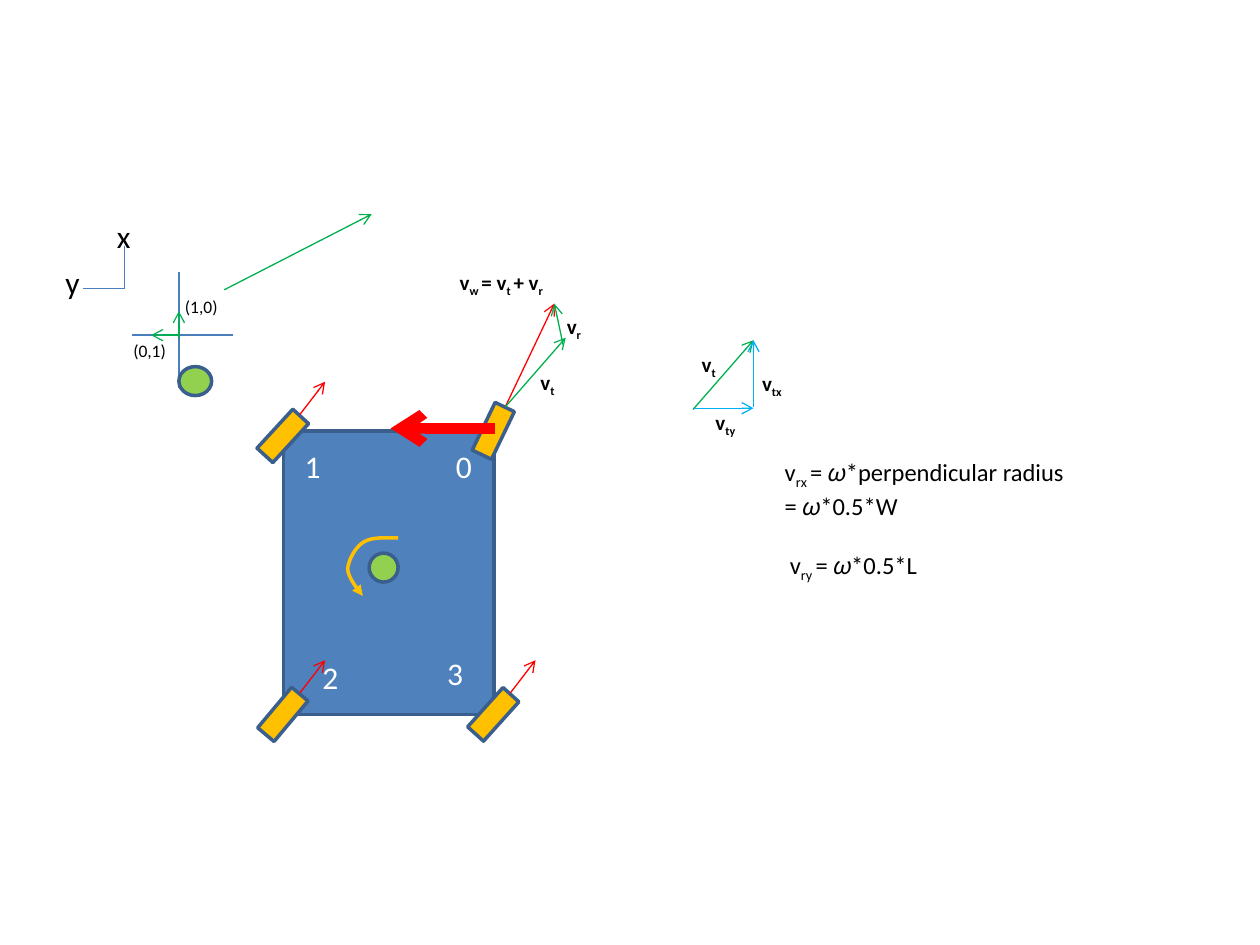
import pptx
import pptx.util
import pptx.dml.color
import pptx.enum.shapes
import pptx.oxml.ns
import lxml.etree

Inches = pptx.util.Inches
Pt = pptx.util.Pt
RGBColor = pptx.dml.color.RGBColor
SHAPE = pptx.enum.shapes.MSO_SHAPE

BLACK = RGBColor(0x00, 0x00, 0x00)
WHITE = RGBColor(0xFF, 0xFF, 0xFF)
BLUE = RGBColor(0x4F, 0x81, 0xBD)
EDGE = RGBColor(0x3A, 0x5F, 0x8C)
AXIS = RGBColor(0x4B, 0x7E, 0xBC)
GOLD = RGBColor(0xFF, 0xC0, 0x00)
LIME = RGBColor(0x92, 0xD0, 0x50)
GREEN = RGBColor(0x00, 0xB0, 0x50)
SKY = RGBColor(0x00, 0xB0, 0xF0)
RED = RGBColor(0xFF, 0x00, 0x00)


def add_sub(parent, tag, **attrs):
    return lxml.etree.SubElement(parent, pptx.oxml.ns.qn(tag), **attrs)


def add_text(slide, text, x, y, w, h, size=18, color=BLACK, bold=False, wrap=False, gap=0):
    """Write lines of text; "|" switches to subscript and back.

    The last line gets gap points above it and a small indent when gap is set.
    """
    box = slide.shapes.add_textbox(Inches(x), Inches(y), Inches(w), Inches(h))
    frame = box.text_frame
    frame.word_wrap = wrap
    lines = text.split("\n")
    for i, line in enumerate(lines):
        para = frame.paragraphs[0] if i == 0 else frame.add_paragraph()
        if gap and i == len(lines) - 1:
            para.space_before = Pt(gap)
            para._p.get_or_add_pPr().set("marL", str(Inches(0.04)))
        for j, part in enumerate(line.split("|")):
            run = para.add_run()
            run.text = part
            font = run.font
            font.name, font.size, font.bold = "Calibri", Pt(size), bold
            font.color.rgb = color
            if j % 2:
                run._r.get_or_add_rPr().set("baseline", "-25000")


def add_line(slide, x1, y1, x2, y2, color, width=0.75, head=None):
    line = slide.shapes.add_connector(
        pptx.enum.shapes.MSO_CONNECTOR.STRAIGHT,
        Inches(x1), Inches(y1), Inches(x2), Inches(y2))
    line.line.color.rgb = color
    line.line.width = Pt(width)
    if head:
        add_sub(line.line._get_or_add_ln(), "a:tailEnd", type=head)
    add_sub(line._element.spPr, "a:effectLst")


def add_arrow(slide, x, y, dx, dy, color, width=0.75):
    add_line(slide, x, y, x + dx, y + dy, color, width, "arrow")


def add_part(slide, kind, x, y, w, h, fill, turn=0):
    part = slide.shapes.add_shape(kind, Inches(x), Inches(y), Inches(w), Inches(h))
    part.shadow.inherit = False
    part.fill.solid()
    part.fill.fore_color.rgb = fill
    part.line.color.rgb = EDGE
    part.line.width = Pt(2)
    part.rotation = turn


def add_spin(slide, x, y):
    """Draw the curved turning arrow from its start point."""
    curves = [
        [(0, 0), (-0.1, 0), (-0.2, -0.01), (-0.27, 0.03)],
        [(-0.27, 0.03), (-0.34, 0.07), (-0.39, 0.17), (-0.4, 0.24)],
        [(-0.4, 0.24), (-0.4, 0.32), (-0.3, 0.43), (-0.28, 0.46)],
    ]
    steps = 10
    points = []
    for curve in curves:
        for i in range(1, steps + 1):
            t = i / steps
            parts = ((1 - t) ** 3, 3 * t * (1 - t) ** 2, 3 * t * t * (1 - t), t ** 3)
            px = x + sum(k * p[0] for k, p in zip(parts, curve))
            py = y + sum(k * p[1] for k, p in zip(parts, curve))
            points.append((Inches(px), Inches(py)))
    path = slide.shapes.build_freeform(Inches(x), Inches(y))
    path.add_line_segments(points, close=False)
    spin = path.convert_to_shape()
    spin.shadow.inherit = False
    spin.fill.background()
    spin.line.color.rgb = GOLD
    spin.line.width = Pt(2)
    add_sub(spin.line._get_or_add_ln(), "a:tailEnd", type="triangle")


def draw_robot(slide, x, y, w, h):
    add_part(slide, SHAPE.RECTANGLE, x, y, w, h, BLUE)
    wheels = [  # centre and turn
        (x + w, y, 25.7), (x, y + 0.04, 42.6), (x, y + h, 40), (x + w, y + h, 42)]
    for cx, cy, turn in wheels:
        add_part(slide, SHAPE.RECTANGLE, cx - 0.09, cy - 0.21, 0.17, 0.42, GOLD, turn)
    for cx, cy, turn in wheels[1:]:
        add_arrow(slide, cx + 0.13, cy - 0.17, 0.2, -0.26, RED)
    tags = [(1.27, 0.08), (0.07, 0.08), (0.21, 1.75), (1.2, 1.72)]
    for i, (dx, dy) in enumerate(tags):
        add_text(slide, str(i), x + dx, y + dy, 0.33, 0.4, color=WHITE)
    add_arrow(slide, x + w + 0.01, y - 0.02, -0.83, 0, RED, 6)
    add_part(slide, SHAPE.OVAL, x + 0.68, y + 0.97, 0.23, 0.23, LIME)
    add_spin(slide, x + 0.91, y + 0.85)


def draw_sum(slide, x, y):
    """Draw the wheel velocity as a sum of vectors, from its lower left tip."""
    add_arrow(slide, x, y, 0.39, -0.82, RED)
    add_arrow(slide, x, y, 0.48, -0.55, GREEN)
    add_arrow(slide, x + 0.46, y - 0.49, -0.07, -0.33, GREEN)
    for text, dx, dy, w in [("v|t", 0.18, -0.35, 0.32), ("v|r", 0.39, -0.79, 0.32)]:
        add_text(slide, text, x + dx, y + dy, w, 0.3, size=12, bold=True)
    add_text(slide, "v|w |= v|t |+ v|r", x - 0.46, y - 1.14, 1.44, 0.3,
             size=12, bold=True, wrap=True)


def draw_split(slide, x, y, w, h):
    """Draw a velocity split into its two components."""
    add_arrow(slide, x, y + h, w, -h, GREEN)
    add_arrow(slide, x + 0.01, y + h - 0.01, w - 0.01, 0, SKY)
    add_arrow(slide, x + w, y + h - 0.02, 0, 0.02 - h, SKY)
    tags = [("v|t", -0.03, 0.04, 0.32), ("v|ty", 0.08, 0.5, 0.37), ("v|tx", 0.45, 0.19, 0.37)]
    for text, dx, dy, tw in tags:
        add_text(slide, text, x + dx, y + dy, tw, 0.3, size=12, bold=True)


def draw_axes(slide, x, y):
    """Draw the axis names around the corner point."""
    add_line(slide, x, y - 0.34, x, y, AXIS)
    add_line(slide, x - 0.33, y, x, y, AXIS)
    add_text(slide, "x", x - 0.16, y - 0.62, 0.31, 0.4)
    add_text(slide, "y", x - 0.57, y - 0.25, 0.32, 0.4)


def draw_stick(slide, x, y):
    """Draw the unit vectors around the origin point."""
    add_line(slide, x, y - 0.5, x, y + 0.42, AXIS)
    add_line(slide, x - 0.37, y, x + 0.43, y, AXIS)
    add_arrow(slide, x, y + 0.02, 0, -0.21, GREEN)
    add_arrow(slide, x, y, -0.22, 0, GREEN)
    add_text(slide, "(1,0)", x - 0.05, y - 0.36, 0.46, 0.27, size=10)
    add_text(slide, "(0,1)", x - 0.46, y - 0.01, 0.46, 0.27, size=10)
    add_arrow(slide, x + 0.36, y - 0.36, 1.17, -0.6, GREEN)
    add_part(slide, SHAPE.OVAL, x, y + 0.25, 0.26, 0.23, LIME)


def main():
    deck = pptx.Presentation()
    deck.slide_width, deck.slide_height = Inches(10), Inches(7.5)
    slide = deck.slides.add_slide(deck.slide_layouts[6])
    draw_robot(slide, 2.25, 3.42, 1.67, 2.25)
    draw_sum(slide, 4.01, 3.23)
    draw_axes(slide, 0.99, 2.29)
    draw_split(slide, 5.5, 2.7, 0.48, 0.55)
    draw_stick(slide, 1.42, 2.66)
    add_text(slide, "v|rx |= 𝜔*perpendicular radius\n= 𝜔*0.5*W\nv|ry |= 𝜔*0.5*L",
             6.13, 3.58, 2.46, 1.28, size=14, gap=17)
    deck.save("out.pptx")


if __name__ == "__main__":
    main()
